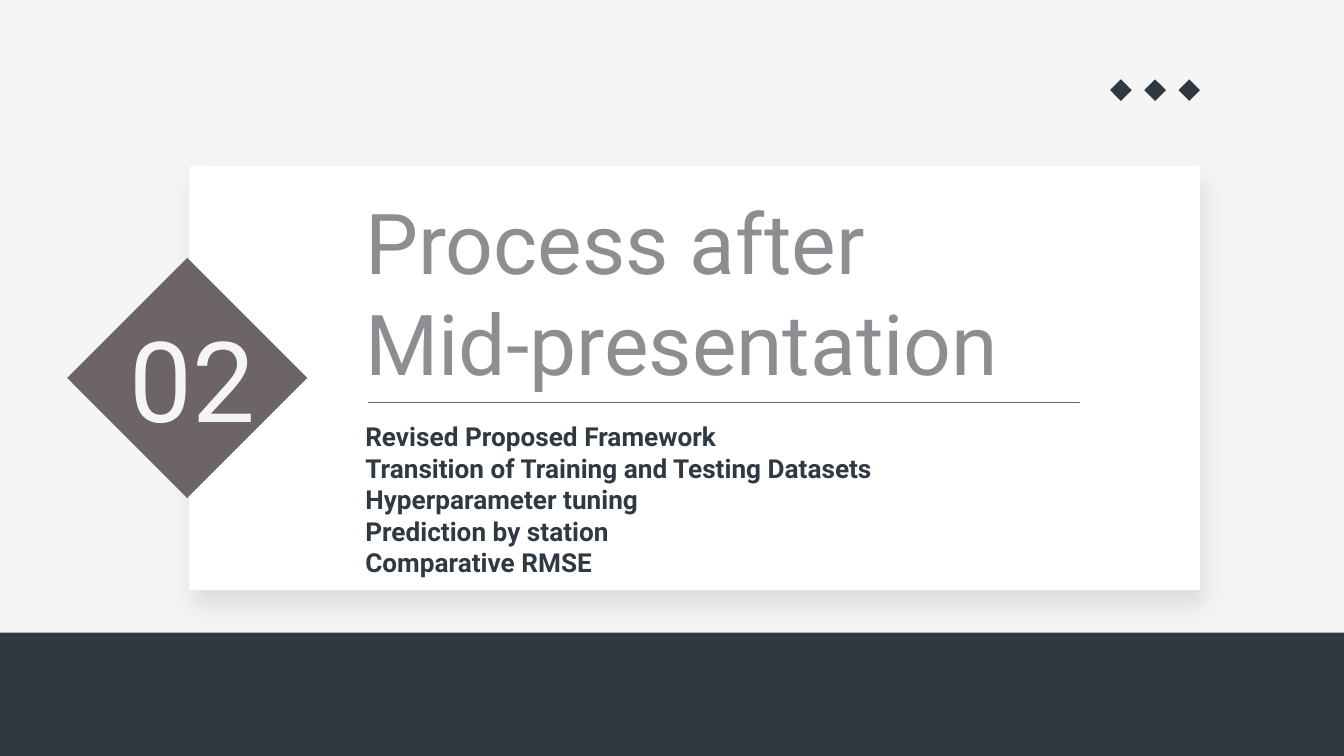
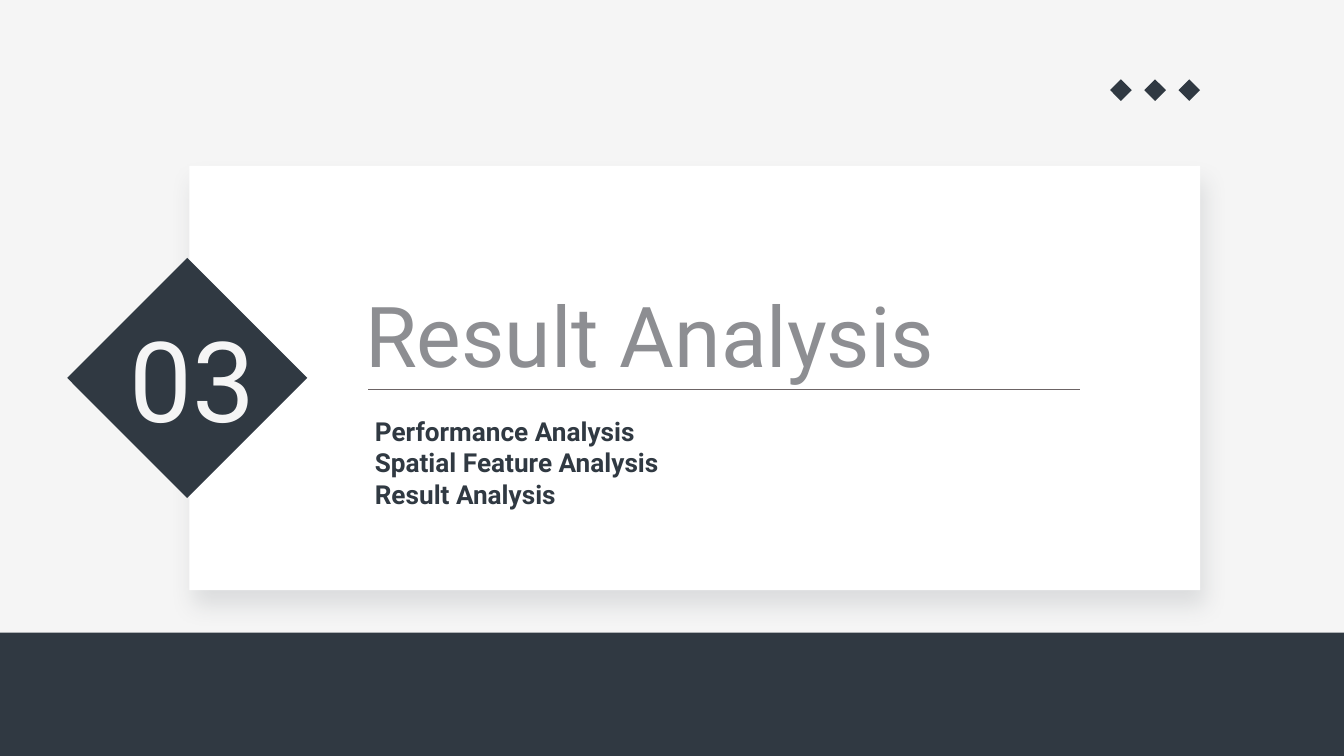
from dataclasses import dataclass

import pptx
import pptx.dml.color
import pptx.enum.shapes
import pptx.enum.text
import pptx.oxml
import pptx.oxml.ns
import pptx.util

Pt = pptx.util.Pt
SHAPE = pptx.enum.shapes.MSO_SHAPE
ANCHOR = pptx.enum.text.MSO_ANCHOR
ALIGN = pptx.enum.text.PP_ALIGN

PAPER, WHITE, NAVY, TAUPE, GREY = "F5F5F5", "FFFFFF", "303942", "6C6465", "8D8E92"
FONT = "Roboto"

TITLE = {"size": Pt(45)}
TOPICS = {"size": Pt(14), "bold": True}
NUMBER = {"size": Pt(60)}

DOT_LEFT, DOT_TOP, DOT_SIZE, DOT_PITCH = 594.7, 42.5, 11.6, 18.3


@dataclass
class Box:
    left: float
    top: float
    width: float
    height: float

    def lengths(self) -> list:
        return [Pt(v) for v in (self.left, self.top, self.width, self.height)]


@dataclass
class Section:
    number: str
    title: str
    topics: list[str]
    diamond_color: str
    title_box: Box
    rule_y: float
    topics_box: Box


SECTIONS = [
    Section(
        "02", "Process after Mid-presentation",
        ["Revised Proposed Framework",
         "Transition of Training and Testing Datasets",
         "Hyperparameter tuning",
         "Prediction by station",
         "Comparative RMSE"],
        TAUPE, Box(188.6, 95, 371.5, 118), 215.7, Box(188.6, 218.2, 310.3, 98),
    ),
    Section(
        "03", "Result Analysis",
        ["Performance Analysis", "Spatial Feature Analysis", "Result Analysis"],
        NAVY, Box(188.6, 144.7, 371.5, 61.2), 208.7, Box(193.7, 215.3, 310.3, 114.5),
    ),
]


def rgb(color: str) -> pptx.dml.color.RGBColor:
    return pptx.dml.color.RGBColor.from_string(color)


def add_filled(s, kind, box: Box, color: str):
    sp = s.shapes.add_shape(kind, *box.lengths())
    sp.shadow.inherit = False
    sp.fill.solid()
    sp.fill.fore_color.rgb = rgb(color)
    sp.line.fill.background()
    return sp


def add_soft_shadow(sp) -> None:
    effects = sp._element.spPr.find(pptx.oxml.ns.qn("a:effectLst"))
    effects.append(pptx.oxml.parse_xml(
        f'<a:outerShdw {pptx.oxml.ns.nsdecls("a")} blurRad="{Pt(12.4)}" dist="{Pt(9)}" '
        f'dir="{76 * 60000}" algn="bl" rotWithShape="0">'
        f'<a:srgbClr val="{NAVY}"><a:alpha val="13000"/></a:srgbClr></a:outerShdw>'))


def add_text(s, box: Box, lines: list[str], color: str, font: dict,
             align=ALIGN.LEFT, anchor=ANCHOR.TOP) -> None:
    """Set the lines as one paragraph with line breaks."""
    tf = s.shapes.add_textbox(*box.lengths()).text_frame
    frame = {"word_wrap": True, "vertical_anchor": anchor}
    frame |= {f"margin_{side}": Pt(7.2) for side in ("left", "top", "right", "bottom")}
    for name, value in frame.items():
        setattr(tf, name, value)
    p = tf.paragraphs[0]
    p.alignment = align
    for i, line in enumerate(lines):
        if i:
            p.add_line_break()
        r = p.add_run()
        r.text = line
        for name, value in ({"name": FONT} | font).items():
            setattr(r.font, name, value)
        r.font.color.rgb = rgb(color)


def add_rule(s, y: float) -> None:
    line = s.shapes.add_connector(
        pptx.enum.shapes.MSO_CONNECTOR.STRAIGHT, Pt(197.3), Pt(y), Pt(578.6), Pt(y))
    line.line.color.rgb = rgb(TAUPE)
    line.line.width = Pt(0.75)
    line._element.spPr.append(
        pptx.oxml.parse_xml(f'<a:effectLst {pptx.oxml.ns.nsdecls("a")}/>'))


def add_backdrop(s) -> None:
    s.background.fill.solid()
    s.background.fill.fore_color.rgb = rgb(PAPER)
    add_filled(s, SHAPE.RECTANGLE, Box(0, 339, 720, 66), NAVY)
    add_soft_shadow(add_filled(s, SHAPE.RECTANGLE, Box(101.4, 88.8, 541.5, 227.3), WHITE))
    for i in range(3):
        dot = Box(DOT_LEFT + i * DOT_PITCH, DOT_TOP, DOT_SIZE, DOT_SIZE)
        add_filled(s, SHAPE.DIAMOND, dot, NAVY)


def add_section(prs, section: Section) -> None:
    s = prs.slides.add_slide(prs.slide_layouts[6])
    add_backdrop(s)
    add_text(s, section.title_box, [section.title], GREY, TITLE)
    add_rule(s, section.rule_y)
    add_text(s, section.topics_box, section.topics, NAVY, TOPICS)
    add_filled(s, SHAPE.DIAMOND, Box(36, 138.2, 128.6, 128.6), section.diamond_color)
    add_text(s, Box(57.6, 169.2, 86.4, 66.2), [section.number], PAPER, NUMBER,
             ALIGN.RIGHT, ANCHOR.MIDDLE)


def main() -> None:
    prs = pptx.Presentation()
    prs.slide_width, prs.slide_height = Pt(720), Pt(405)
    for section in SECTIONS:
        add_section(prs, section)
    prs.save("out.pptx")


if __name__ == "__main__":
    main()
